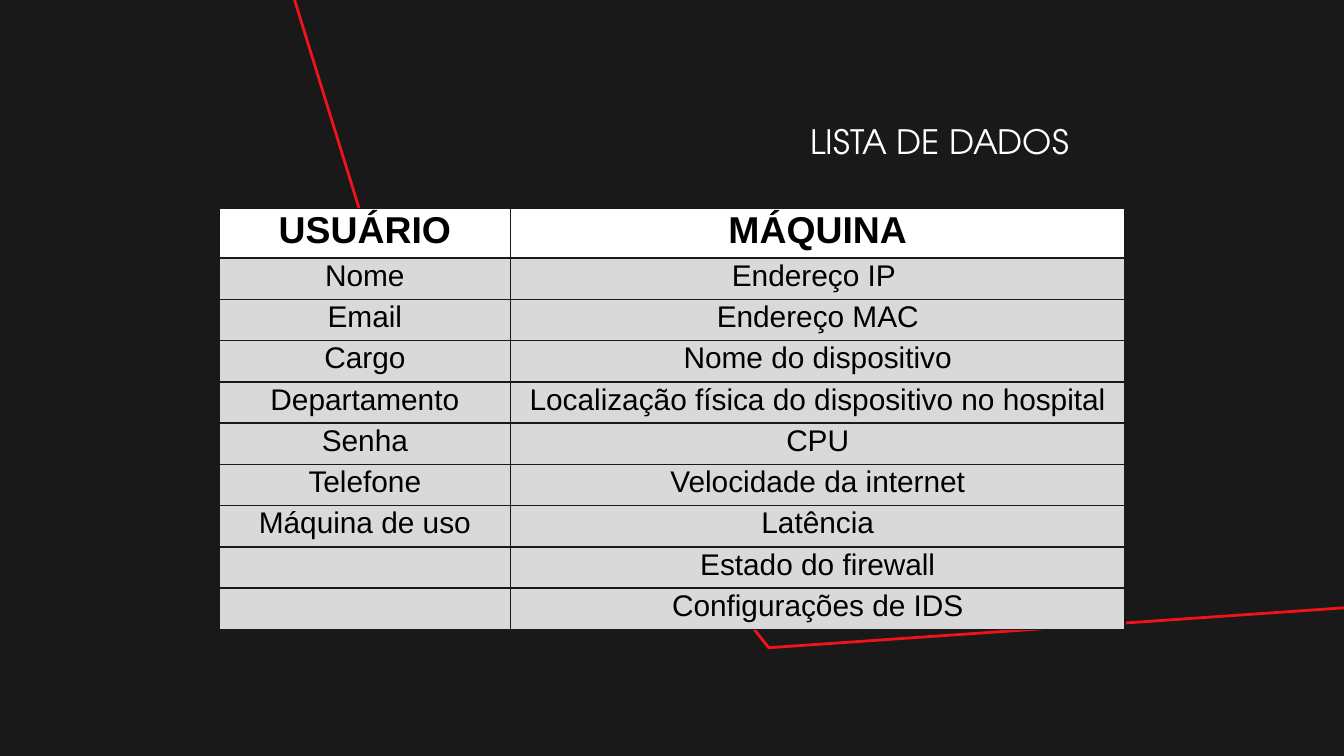
from dataclasses import dataclass

import pptx
import pptx.dml.color
import pptx.enum.text
import pptx.oxml
import pptx.oxml.ns
import pptx.util
from lxml import etree

Inches = pptx.util.Inches
Pt = pptx.util.Pt

COLORS = {
    "background": "191919",
    "accent": "F01319",
    "title": "FFFFFF",
    "header": "FFFFFF",
    "body": "D9D9D9",
    "text": "000000",
}
TABLE_FONT = "Arial"

OUTLINE = [(2.04, -0.49), (2.95, 2.45), (4.07, 2.74),
           (5.72, 4.82), (11.05, 4.45), (10.47, -0.18)]

ROWS = [
    ("USUÁRIO", "MÁQUINA"),
    ("Nome", "Endereço IP "),
    ("Email", "Endereço MAC"),
    ("Cargo", "Nome do dispositivo"),
    ("Departamento", "Localização física do dispositivo no hospital"),
    ("Senha", "CPU"),
    ("Telefone", "Velocidade da internet"),
    ("Máquina de uso", "Latência"),
    ("", "Estado do firewall"),
    ("", "Configurações de IDS"),
]
COLUMN_WIDTHS = (2.17, 4.57)
ROW_HEIGHT = 0.3


@dataclass(frozen=True)
class RowStyle:
    size: int
    bold: bool
    fill: str


HEADER_STYLE = RowStyle(20, True, "header")
BODY_STYLE = RowStyle(16, False, "body")


def rgb(name: str) -> pptx.dml.color.RGBColor:
    return pptx.dml.color.RGBColor.from_string(COLORS[name])


def apply(target, values: dict) -> None:
    for name, value in values.items():
        setattr(target, name, value)


def add_outline(slide) -> None:
    points = [(Inches(x), Inches(y)) for x, y in OUTLINE]
    builder = slide.shapes.build_freeform(*points[0])
    builder.add_line_segments(points[1:], close=True)
    shape = builder.convert_to_shape()
    shape.shadow.inherit = False
    shape.fill.background()
    shape.line.color.rgb = rgb("accent")
    shape.line.width = Pt(1.5)
    # Keep the outline behind the title
    slide.shapes.title._element.addprevious(shape._element)


def format_title(slide) -> None:
    title = slide.shapes.title
    apply(title, {"left": Inches(5.93), "top": Inches(0.8),
                  "width": Inches(2.43), "height": Inches(0.47)})
    frame = title.text_frame
    frame.text = "LISTA DE DADOS"
    margin = Inches(0.1)
    apply(frame, {"margin_left": margin, "margin_right": margin,
                  "margin_top": margin, "margin_bottom": margin,
                  "word_wrap": True,
                  "auto_size": pptx.enum.text.MSO_AUTO_SIZE.NONE,
                  "vertical_anchor": pptx.enum.text.MSO_ANCHOR.TOP})
    paragraph = frame.paragraphs[0]
    paragraph.alignment = pptx.enum.text.PP_ALIGN.LEFT
    font = paragraph.runs[0].font
    apply(font, {"name": "TeX Gyre Adventor", "size": Pt(18), "bold": False})
    font.color.rgb = rgb("title")


def add_borders(cell) -> None:
    properties = cell._tc.get_or_add_tcPr()
    for side in ("lnL", "lnR", "lnT", "lnB"):
        properties.append(pptx.oxml.parse_xml(
            f'<a:{side} {pptx.oxml.ns.nsdecls("a")} w="{Pt(1)}"><a:solidFill>'
            f'<a:srgbClr val="{COLORS["background"]}"/></a:solidFill></a:{side}>'))


def fill_cell(cell, text: str, style: RowStyle) -> None:
    add_borders(cell)
    cell.fill.solid()
    cell.fill.fore_color.rgb = rgb(style.fill)
    edge = Inches(0.01)
    apply(cell, {"margin_left": edge, "margin_right": edge,
                 "margin_top": edge, "margin_bottom": Inches(0.05),
                 "vertical_anchor": pptx.enum.text.MSO_ANCHOR.MIDDLE})
    paragraph = cell.text_frame.paragraphs[0]
    paragraph.alignment = pptx.enum.text.PP_ALIGN.CENTER
    if not text:
        # An empty cell keeps the row's font, so the row does not grow
        ending = etree.SubElement(paragraph._p, pptx.oxml.ns.qn("a:endParaRPr"),
                                  sz=str(style.size * 100))
        etree.SubElement(ending, pptx.oxml.ns.qn("a:latin"), typeface=TABLE_FONT)
        return
    run = paragraph.add_run()
    run.text = text
    apply(run.font, {"name": TABLE_FONT, "size": Pt(style.size),
                     "bold": style.bold})
    run.font.color.rgb = rgb("text")


def add_data_table(slide) -> None:
    styles = [HEADER_STYLE] + [BODY_STYLE] * (len(ROWS) - 1)
    table = slide.shapes.add_table(
        len(ROWS), len(COLUMN_WIDTHS), Inches(1.63), Inches(1.55),
        Inches(sum(COLUMN_WIDTHS)), Inches(ROW_HEIGHT * len(ROWS))).table
    for column, width in zip(table.columns, COLUMN_WIDTHS):
        column.width = Inches(width)
    for row, texts, style in zip(table.rows, ROWS, styles):
        row.height = Inches(ROW_HEIGHT)
        for cell, text in zip(row.cells, texts):
            fill_cell(cell, text, style)


def main() -> None:
    # Widescreen 16:9 slide
    presentation = pptx.Presentation()
    presentation.slide_width = Inches(10)
    presentation.slide_height = Inches(10 * 9 / 16)

    # Slide with a title placeholder only
    slide = presentation.slides.add_slide(presentation.slide_layouts[5])
    slide.background.fill.solid()
    slide.background.fill.fore_color.rgb = rgb("background")

    add_outline(slide)
    format_title(slide)
    add_data_table(slide)
    presentation.save("out.pptx")


if __name__ == "__main__":
    main()
